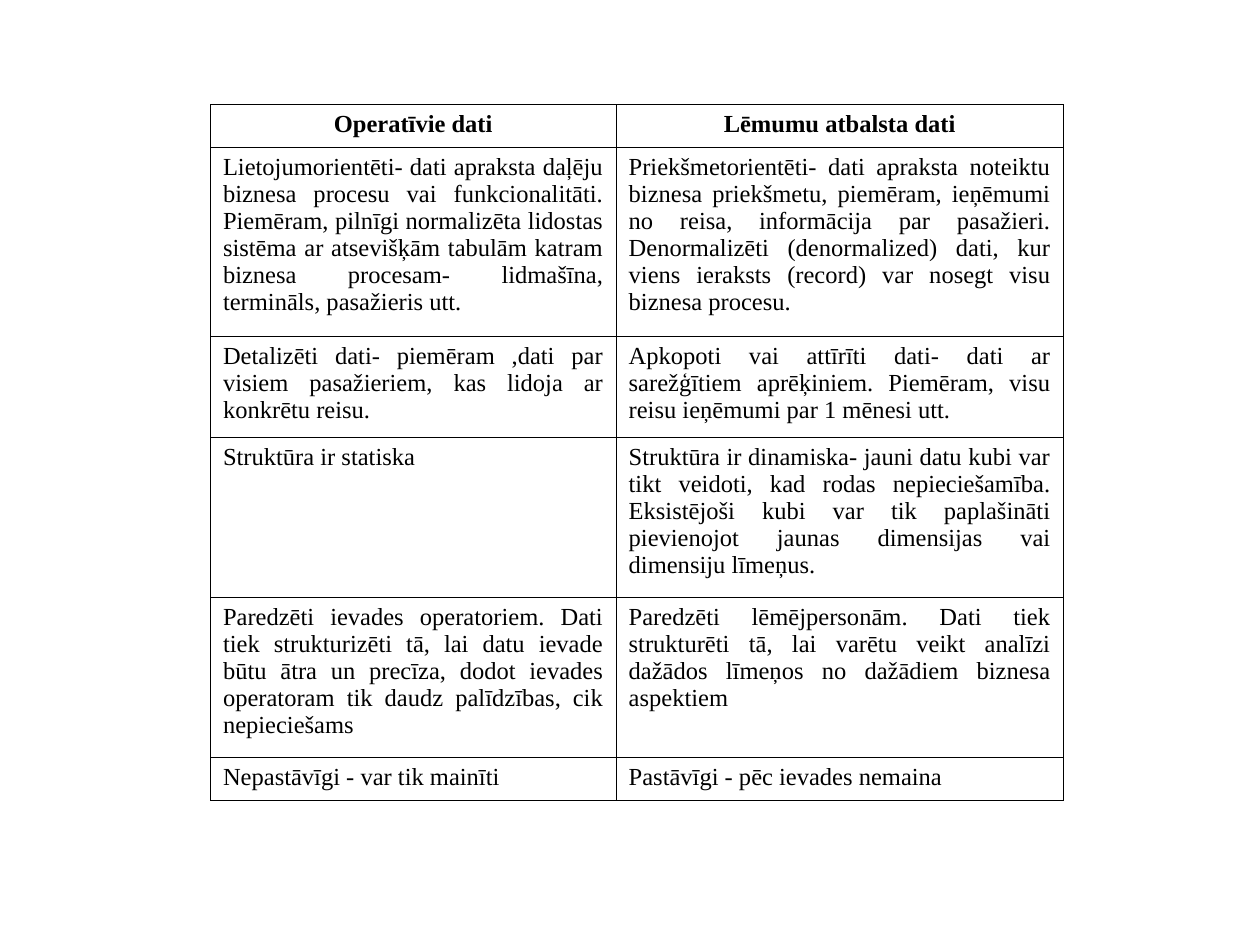
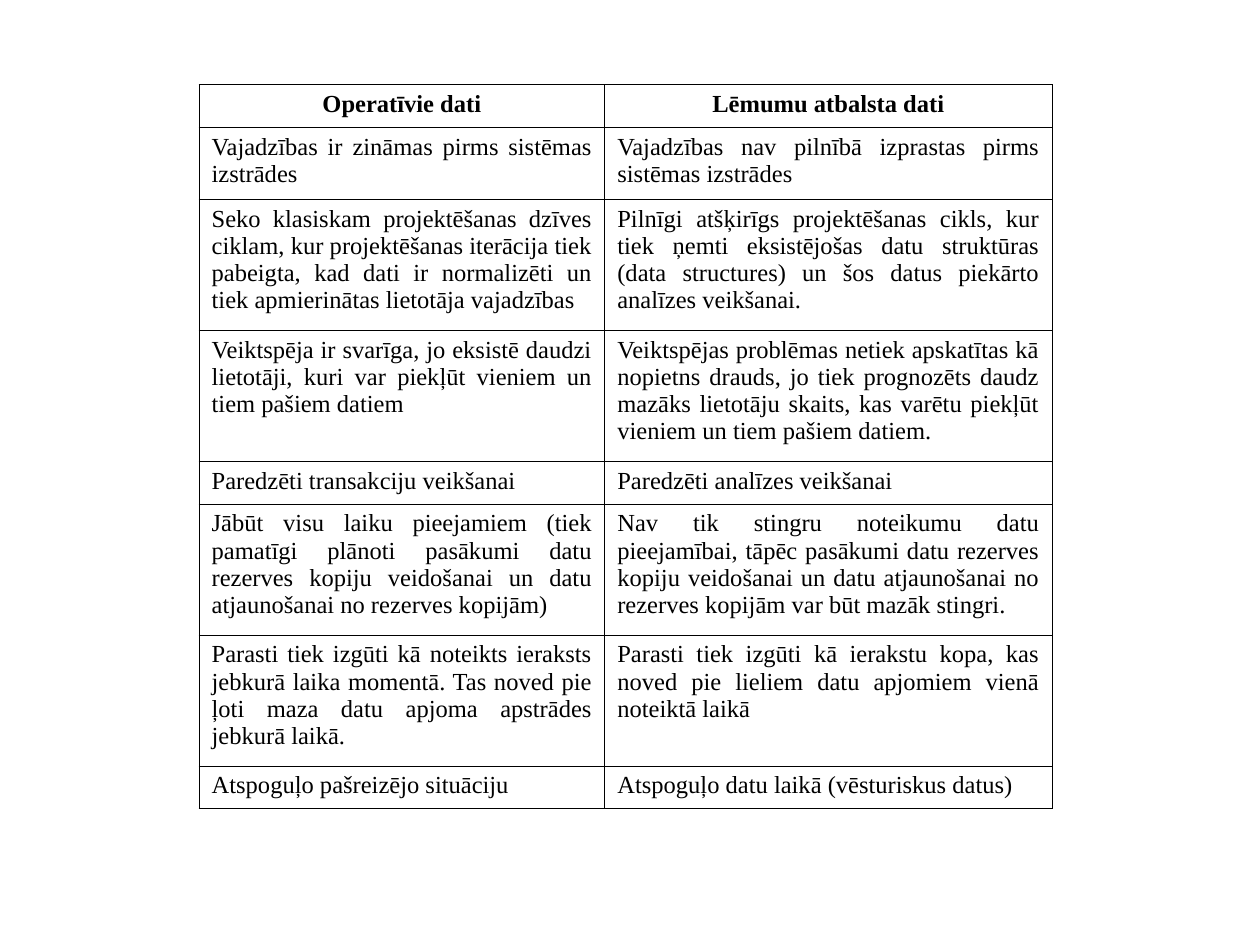
import pptx
import pptx.dml.color
import pptx.enum.text
import pptx.oxml
import pptx.oxml.ns
import pptx.util
from pptx.util import Inches

BLACK = pptx.dml.color.RGBColor(0x00, 0x00, 0x00)
WHITE = pptx.dml.color.RGBColor(0xFF, 0xFF, 0xFF)
BLANK_LAYOUT = 6
COLUMN_WIDTHS = (3.22, 3.55)
HEADINGS = ("Operatīvie dati", "Lēmumu atbalsta dati")
# Row height in inches by the number of text lines in the fuller cell
ROW_HEIGHTS = {1: 0.34, 2: 0.57, 3: 0.8, 4: 1.04, 5: 1.27, 6: 1.5}

# Each row: lines, operational data, decision support data
DATA_NATURE = [
    (6,
     "Lietojumorientēti- dati apraksta daļēju biznesa procesu vai funkcionalitāti. "
     "Piemēram, pilnīgi normalizēta lidostas sistēma ar atsevišķām tabulām katram "
     "biznesa procesam- lidmašīna, termināls, pasažieris utt.",
     "Priekšmetorientēti- dati apraksta noteiktu biznesa priekšmetu, piemēram, "
     "ieņēmumi no reisa, informācija par pasažieri. Denormalizēti (denormalized) "
     "dati, kur viens ieraksts (record) var nosegt visu biznesa procesu."),
    (3,
     "Detalizēti dati- piemēram ,dati par visiem pasažieriem, kas lidoja ar "
     "konkrētu reisu.",
     "Apkopoti vai attīrīti dati- dati ar sarežģītiem aprēķiniem. Piemēram, visu "
     "reisu ieņēmumi par 1 mēnesi utt."),
    (5,
     "Struktūra ir statiska",
     "Struktūra ir dinamiska- jauni datu kubi var tikt veidoti, kad rodas "
     "nepieciešamība. Eksistējoši kubi var tik paplašināti pievienojot jaunas "
     "dimensijas vai dimensiju līmeņus."),
    (5,
     "Paredzēti ievades operatoriem. Dati tiek strukturizēti tā, lai datu ievade "
     "būtu ātra un precīza, dodot ievades operatoram tik daudz palīdzības, cik "
     "nepieciešams",
     "Paredzēti lēmējpersonām. Dati tiek strukturēti tā, lai varētu veikt analīzi "
     "dažādos līmeņos no dažādiem biznesa aspektiem"),
    (1, "Nepastāvīgi - var tik mainīti", "Pastāvīgi - pēc ievades nemaina"),
]

DATA_USE = [
    (2,
     "Vajadzības ir zināmas pirms sistēmas izstrādes",
     "Vajadzības nav pilnībā izprastas pirms sistēmas izstrādes"),
    (4,
     "Seko klasiskam projektēšanas dzīves ciklam, kur projektēšanas iterācija tiek "
     "pabeigta, kad dati ir normalizēti un tiek apmierinātas lietotāja vajadzības",
     "Pilnīgi atšķirīgs projektēšanas cikls, kur tiek ņemti eksistējošas datu "
     "struktūras (data structures) un šos datus piekārto analīzes veikšanai."),
    (4,
     "Veiktspēja ir svarīga, jo eksistē daudzi lietotāji, kuri var piekļūt vieniem "
     "un tiem pašiem datiem",
     "Veiktspējas problēmas netiek apskatītas kā nopietns drauds, jo tiek prognozēts "
     "daudz mazāks lietotāju skaits, kas varētu piekļūt vieniem un tiem pašiem "
     "datiem."),
    (1, "Paredzēti transakciju veikšanai", "Paredzēti analīzes veikšanai"),
    (4,
     "Jābūt visu laiku pieejamiem (tiek pamatīgi plānoti pasākumi datu rezerves "
     "kopiju veidošanai un datu atjaunošanai no rezerves kopijām)",
     "Nav tik stingru noteikumu datu pieejamībai, tāpēc pasākumi datu rezerves "
     "kopiju veidošanai un datu atjaunošanai no rezerves kopijām var būt mazāk "
     "stingri."),
    (4,
     "Parasti tiek izgūti kā noteikts ieraksts jebkurā laika momentā. Tas noved pie "
     "ļoti maza datu apjoma apstrādes jebkurā laikā.",
     "Parasti tiek izgūti kā ierakstu kopa, kas noved pie lieliem datu apjomiem "
     "vienā noteiktā laikā"),
    (1, "Atspoguļo pašreizējo situāciju", "Atspoguļo datu laikā (vēsturiskus datus)"),
]


class ComparisonDeck:
    font_name = "Times New Roman"
    font_size = pptx.util.Pt(14)
    border_width = pptx.util.Pt(0.45)

    def __init__(self):
        self.presentation = pptx.Presentation()
        self.presentation.slide_width = Inches(10)
        self.presentation.slide_height = Inches(7.5)
        self.slide = None

    def add_slide(self):
        layout = self.presentation.slide_layouts[BLANK_LAYOUT]
        self.slide = self.presentation.slides.add_slide(layout)

    def add_comparison(self, left, top, comparisons):
        rows = [(1, *HEADINGS), *comparisons]
        heights = [ROW_HEIGHTS[lines] for lines, *_ in rows]
        table = self.slide.shapes.add_table(
            len(rows), len(COLUMN_WIDTHS), Inches(left), Inches(top),
            Inches(sum(COLUMN_WIDTHS)), Inches(sum(heights))).table
        table.horz_banding = False
        table.first_row = False
        for column, width in zip(table.columns, COLUMN_WIDTHS):
            column.width = Inches(width)
        for row, height in zip(table.rows, heights):
            row.height = Inches(height)
        for row_index, (_, *texts) in enumerate(rows):
            for column_index, text in enumerate(texts):
                cell = table.cell(row_index, column_index)
                self.fill_cell(cell, text, is_heading=row_index == 0)

    def fill_cell(self, cell, text, is_heading):
        self.add_borders(cell)
        cell.fill.solid()
        cell.fill.fore_color.rgb = WHITE
        cell.margin_left = cell.margin_right = Inches(0.1)
        cell.margin_top = cell.margin_bottom = Inches(0.05)
        cell.text_frame.text = text
        paragraph = cell.text_frame.paragraphs[0]
        alignments = pptx.enum.text.PP_ALIGN
        paragraph.alignment = alignments.CENTER if is_heading else alignments.JUSTIFY
        for run in paragraph.runs:
            run.font.name = self.font_name
            run.font.size = self.font_size
            run.font.bold = is_heading
            run.font.color.rgb = BLACK

    def add_borders(self, cell):
        """Line all four sides; must come before the fill in the cell properties."""
        properties = cell._tc.get_or_add_tcPr()
        for side in ("lnL", "lnR", "lnT", "lnB"):
            properties.append(pptx.oxml.parse_xml(
                f'<a:{side} {pptx.oxml.ns.nsdecls("a")} w="{self.border_width}">'
                f'<a:solidFill><a:srgbClr val="{BLACK}"/></a:solidFill></a:{side}>'))


def main():
    deck = ComparisonDeck()
    deck.add_slide()
    deck.add_comparison(1.67, 0.83, DATA_NATURE)
    deck.add_slide()
    deck.add_comparison(1.58, 0.67, DATA_USE)
    deck.presentation.save("out.pptx")


if __name__ == "__main__":
    main()
